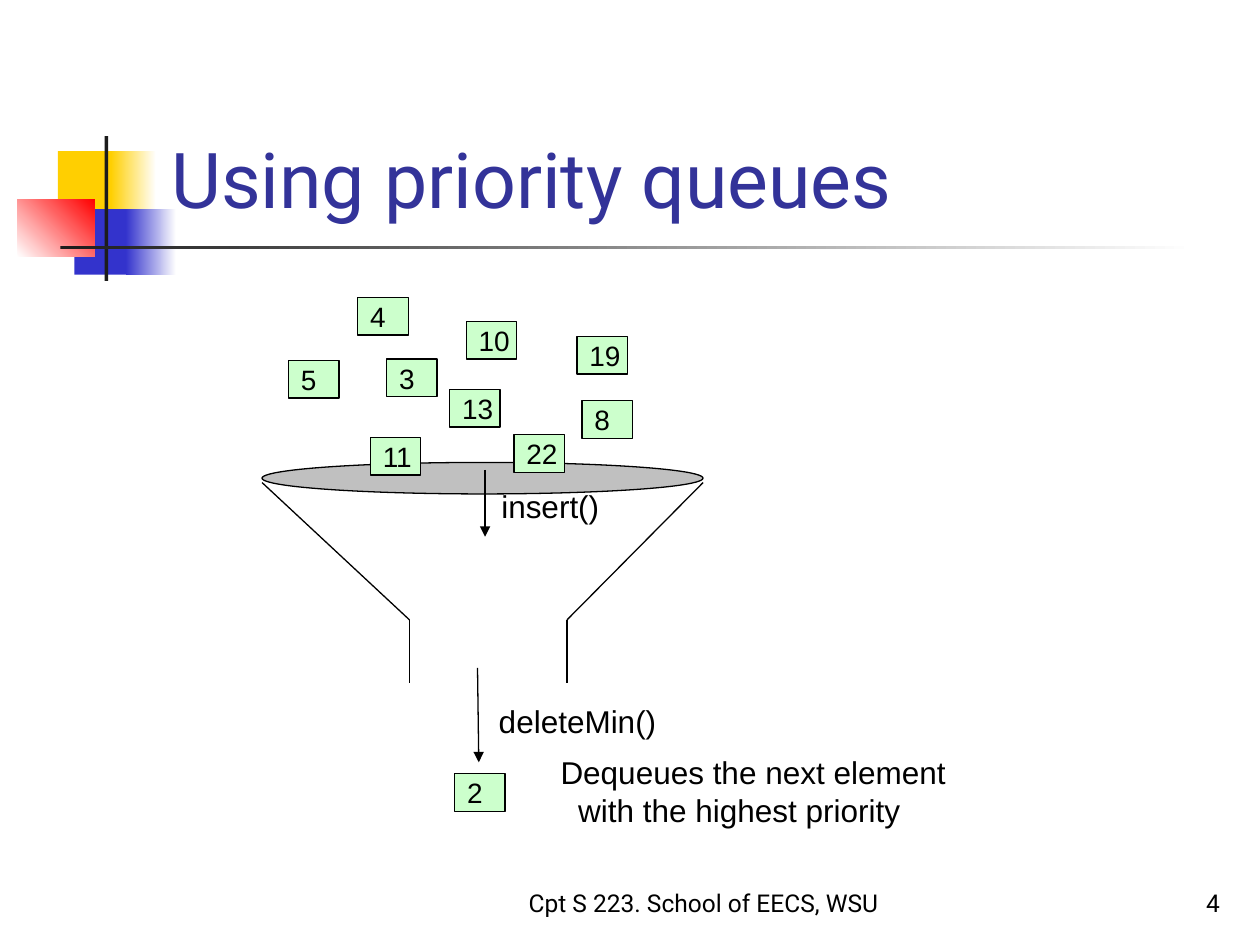
from itertools import pairwise

from lxml import etree
from pptx import Presentation
from pptx.dml.color import RGBColor
from pptx.enum.shapes import MSO_CONNECTOR, MSO_SHAPE
from pptx.enum.text import MSO_ANCHOR, PP_ALIGN
from pptx.oxml.ns import qn
from pptx.util import Inches, Pt

RECTANGLE, ELLIPSE = MSO_SHAPE.RECTANGLE, MSO_SHAPE.OVAL
STRAIGHT = MSO_CONNECTOR.STRAIGHT
TOP, MIDDLE, BOTTOM = MSO_ANCHOR.TOP, MSO_ANCHOR.MIDDLE, MSO_ANCHOR.BOTTOM
LEFT, CENTER, RIGHT = PP_ALIGN.LEFT, PP_ALIGN.CENTER, PP_ALIGN.RIGHT

BLACK, WHITE, DARK = "000000", "FFFFFF", "1C1C1C"
YELLOW, BLUE, RED = "FFCF01", "3333CC", "FF0000"
TITLE_BLUE, GREEN, GRAY = "333399", "CCFFCC", "C0C0C0"

ORNAMENTS = [
    ((0.46, 1.2, 0.48, 0.52), [YELLOW], 0),
    ((0.88, 1.2, 0.36, 0.52), [YELLOW, WHITE], 0),
    ((0.59, 1.66, 0.46, 0.52), [BLUE], 0),
    ((1, 1.66, 0.4, 0.52), [BLUE, WHITE], 0),
    ((0.14, 1.58, 0.61, 0.46), [WHITE, RED], 45),
    ((0.83, 1.08, 0.03, 1.15), [DARK], 0),
    ((0.48, 1.95, 9, 0.03), [DARK, WHITE], 0),
]
FUNNEL_SIDES = [
    [(2.08, 3.83), (3.25, 4.92), (3.25, 5.42)],
    [(5.58, 3.83), (4.5, 4.92), (4.5, 5.42)],
]
QUEUE_ITEMS = [
    ("5", 2.29, 2.86), ("3", 3.07, 2.85), ("10", 3.7, 2.55),
    ("13", 3.57, 3.09), ("19", 4.58, 2.67), ("8", 4.62, 3.18),
    ("4", 2.84, 2.36), ("22", 4.08, 3.45), ("11", 2.94, 3.47),
    ("2", 3.61, 6.14),
]


def color(value):
    """Turn a hex string into a colour."""
    return RGBColor.from_string(value)


class SlideBuilder:
    """Hold the shared style and the current slide."""

    body_font = "Arial"
    theme_font = "Roboto"
    line_width = Pt(0.75)

    def __init__(self, slide):
        """Keep the slide that receives the elements."""
        self.slide = slide

    def shape(self, kind, place, fills, angle=0, outline=None):
        """Add a shape with a solid or two-colour gradient fill."""
        shape = self.slide.shapes.add_shape(kind, *map(Inches, place))
        shape.shadow.inherit = False
        if len(fills) == 1:
            shape.fill.solid()
            shape.fill.fore_color.rgb = color(fills[0])
        else:
            shape.fill.gradient()
            shape.fill.gradient_angle = angle
            for stop, value in zip(shape.fill.gradient_stops, fills):
                stop.color.rgb = color(value)
        if outline:
            shape.line.color.rgb = color(outline)
            shape.line.width = self.line_width
        else:
            shape.line.fill.background()
        return shape

    def line(self, start, end, arrow=False):
        """Add a thin straight line, with an arrowhead if asked."""
        points = map(Inches, (*start, *end))
        line = self.slide.shapes.add_connector(STRAIGHT, *points)
        line.line.color.rgb = color(BLACK)
        line.line.width = self.line_width
        properties = line.element.spPr
        if arrow:
            outline = properties.find(qn("a:ln"))
            etree.SubElement(outline, qn("a:tailEnd"), type="triangle")
        etree.SubElement(properties, qn("a:effectLst"))

    def fill_text(self, box, lines, size, font, anchor, align=LEFT, ink=BLACK, hanging=0):
        """Put one paragraph of lines into a box."""
        frame = box.text_frame
        frame.word_wrap = True
        frame.vertical_anchor = anchor
        frame.margin_left = Inches(0.1)
        frame.margin_right = Inches(0 if align == LEFT else 0.1)
        frame.margin_top = frame.margin_bottom = Inches(0.05)
        para = frame.paragraphs[0]
        para.alignment = align
        if hanging:
            properties = para._p.get_or_add_pPr()
            properties.set("marL", str(Inches(hanging)))
            properties.set("indent", str(-Inches(hanging)))
        for index, line in enumerate(lines):
            if index:
                para.add_line_break()
            span = para.add_run()
            span.text = line
            span.font.size = Pt(size)
            span.font.name = font
            span.font.color.rgb = color(ink)

    def text(self, place, lines, size=18, font=body_font, anchor=TOP, **style):
        """Add a text box."""
        box = self.slide.shapes.add_textbox(*map(Inches, place))
        self.fill_text(box, lines, size, font, anchor, **style)

    def item(self, label, left, top):
        """Add a numbered queue element."""
        box = self.shape(RECTANGLE, (left, top, 0.4, 0.3), [GREEN], outline=BLACK)
        self.fill_text(box, [label], 16, self.body_font, MIDDLE)


def main():
    """Build and save the deck."""
    deck = Presentation()
    deck.slide_width, deck.slide_height = Inches(10), Inches(7.5)
    page = SlideBuilder(deck.slides.add_slide(deck.slide_layouts[6]))

    for place, fills, angle in ORNAMENTS:
        page.shape(RECTANGLE, place, fills, angle)
    page.text((1.26, 0.23, 8.52, 1.6), ["Using priority queues"], 44,
              page.theme_font, BOTTOM, ink=TITLE_BLUE)

    for side in FUNNEL_SIDES:
        for start, end in pairwise(side):
            page.line(start, end)
    page.shape(ELLIPSE, (2.08, 3.67, 3.5, 0.25), [GRAY], outline=BLACK)
    for label, left, top in QUEUE_ITEMS:
        page.item(label, left, top)

    page.line((3.85, 3.73), (3.85, 4.26), arrow=True)
    page.text((3.88, 3.82, 0.98, 0.4), ["insert()"])
    page.line((3.79, 5.3), (3.8, 6.05), arrow=True)
    page.text((3.86, 5.52, 1.45, 0.4), ["deleteMin()"])
    page.text((4.35, 5.93, 3.32, 0.7),
              ["Dequeues the next element", "with the highest priority"],
              hanging=0.14)

    page.text((4, 6.83, 3.17, 0.5), ["Cpt S 223. School of EECS, WSU"], 14,
              page.theme_font, BOTTOM, align=CENTER)
    page.text((7.7, 6.83, 2.08, 0.5), ["4"], 14,
              page.theme_font, BOTTOM, align=RIGHT)
    deck.save("out.pptx")


if __name__ == "__main__":
    main()
